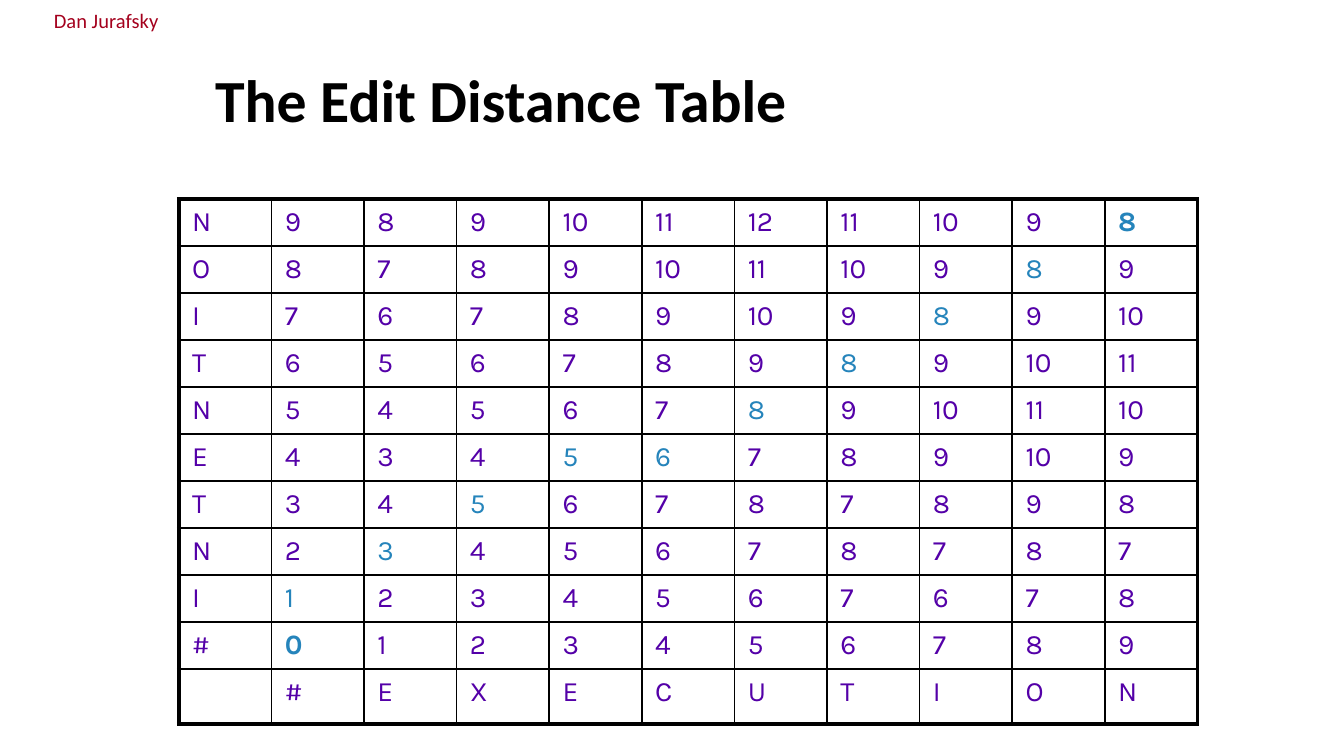
import dataclasses

import pptx
import pptx.dml.color
import pptx.enum.text
import pptx.oxml
import pptx.oxml.ns
import pptx.util

Inches = pptx.util.Inches
Pt = pptx.util.Pt
RGB = pptx.dml.color.RGBColor
ALIGN = pptx.enum.text.PP_ALIGN
TOP = pptx.enum.text.MSO_ANCHOR.TOP

BLACK = RGB(0x00, 0x00, 0x00)
RED = RGB(0xA4, 0x00, 0x1D)
PURPLE = RGB(0x54, 0x00, 0xA8)
BLUE = RGB(0x25, 0x84, 0xBB)
THICK, THIN = 2.21, 0.96

# Edit distances; the first column and last row spell the two words
ROWS = [line.split() for line in (
    "N 9 8 9 10 11 12 11 10 9 8",
    "O 8 7 8 9 10 11 10 9 8 9",
    "I 7 6 7 8 9 10 9 8 9 10",
    "T 6 5 6 7 8 9 8 9 10 11",
    "N 5 4 5 6 7 8 9 10 11 10",
    "E 4 3 4 5 6 7 8 9 10 9",
    "T 3 4 5 6 7 8 7 8 9 8",
    "N 2 3 4 5 6 7 8 7 8 7",
    "I 1 2 3 4 5 6 7 6 7 8",
    "# 0 1 2 3 4 5 6 7 8 9",
)] + [["", *"#EXECUTION"]]
ENDS = {(0, 10), (9, 1)}
TRACE = ENDS | {(1, 9), (2, 8), (3, 7), (4, 6), (5, 5), (5, 4),
                (6, 3), (7, 2), (8, 1)}


@dataclasses.dataclass
class Style:
    face: str
    size: int
    color: RGB
    bold: bool = False


@dataclasses.dataclass
class Label:
    text: str
    box: tuple[float, float, float, float]
    style: Style
    align: ALIGN
    side: float


def write(frame, text: str, style: Style, align: ALIGN = ALIGN.LEFT) -> None:
    par = frame.paragraphs[0]
    par.alignment = align
    run = par.add_run()
    run.text = text
    values = {"name": style.face, "size": Pt(style.size), "bold": style.bold}
    for key, value in values.items():
        setattr(run.font, key, value)
    run.font.color.rgb = style.color


def place(shape, label: Label) -> None:
    for key, value in zip(("left", "top", "width", "height"), label.box):
        setattr(shape, key, Inches(value))
    frame = shape.text_frame
    values = {
        "word_wrap": True, "vertical_anchor": TOP,
        "auto_size": pptx.enum.text.MSO_AUTO_SIZE.NONE,
        "margin_left": Inches(label.side), "margin_right": Inches(label.side),
        "margin_top": Inches(0.05), "margin_bottom": Inches(0.05),
    }
    for key, value in values.items():
        setattr(frame, key, value)
    write(frame, label.text, label.style, label.align)


def border(cell, widths: dict[str, float]) -> None:
    props = cell._tc.get_or_add_tcPr()
    for side, width in widths.items():
        props.append(pptx.oxml.parse_xml(
            f'<a:ln{side} {pptx.oxml.ns.nsdecls("a")} w="{Pt(width)}">'
            f'<a:solidFill><a:srgbClr val="{BLACK}"/></a:solidFill>'
            f'</a:ln{side}>'))


def draw_grid(slide) -> None:
    count, span = len(ROWS), len(ROWS[0])
    table = slide.shapes.add_table(
        count, span, Inches(1.33), Inches(1.48),
        Inches(7.58), Inches(0.35 * count)).table
    table.first_row = table.horz_banding = False
    for col in table.columns:
        col.width = Inches(7.58 / span)
    for r, row in enumerate(ROWS):
        table.rows[r].height = Inches(0.35)
        for c, text in enumerate(row):
            cell = table.cell(r, c)
            # Thick outer frame, thin inner lines
            edges = {"L": c == 0, "R": c == span - 1,
                     "T": r == 0, "B": r == count - 1}
            border(cell, {side: THICK if edge else THIN
                          for side, edge in edges.items()})
            cell.fill.background()
            if text:
                color = BLUE if (r, c) in TRACE else PURPLE
                write(cell.text_frame, text,
                      Style("Karla", 15, color, (r, c) in ENDS))


def main() -> None:
    deck = pptx.Presentation()
    # Widescreen, 16 to 9
    deck.slide_width = Inches(10)
    deck.slide_height = Inches(10 * 9 / 16)
    slide = deck.slides.add_slide(deck.slide_layouts[5])

    # Author and title
    author = Label("Dan Jurafsky", (0.08, 0.01, 1.42, 0.28),
                   Style("Calibri", 11, RED), ALIGN.CENTER, 0)
    title = Label("The Edit Distance Table", (1.5, 0.42, 8.17, 0.81),
                  Style("Calibri", 32, BLACK, True), ALIGN.LEFT, 0.1)
    place(slide.shapes.add_textbox(0, 0, 0, 0), author)
    place(slide.shapes.title, title)

    # Distance table
    draw_grid(slide)
    deck.save("out.pptx")


if __name__ == "__main__":
    main()
